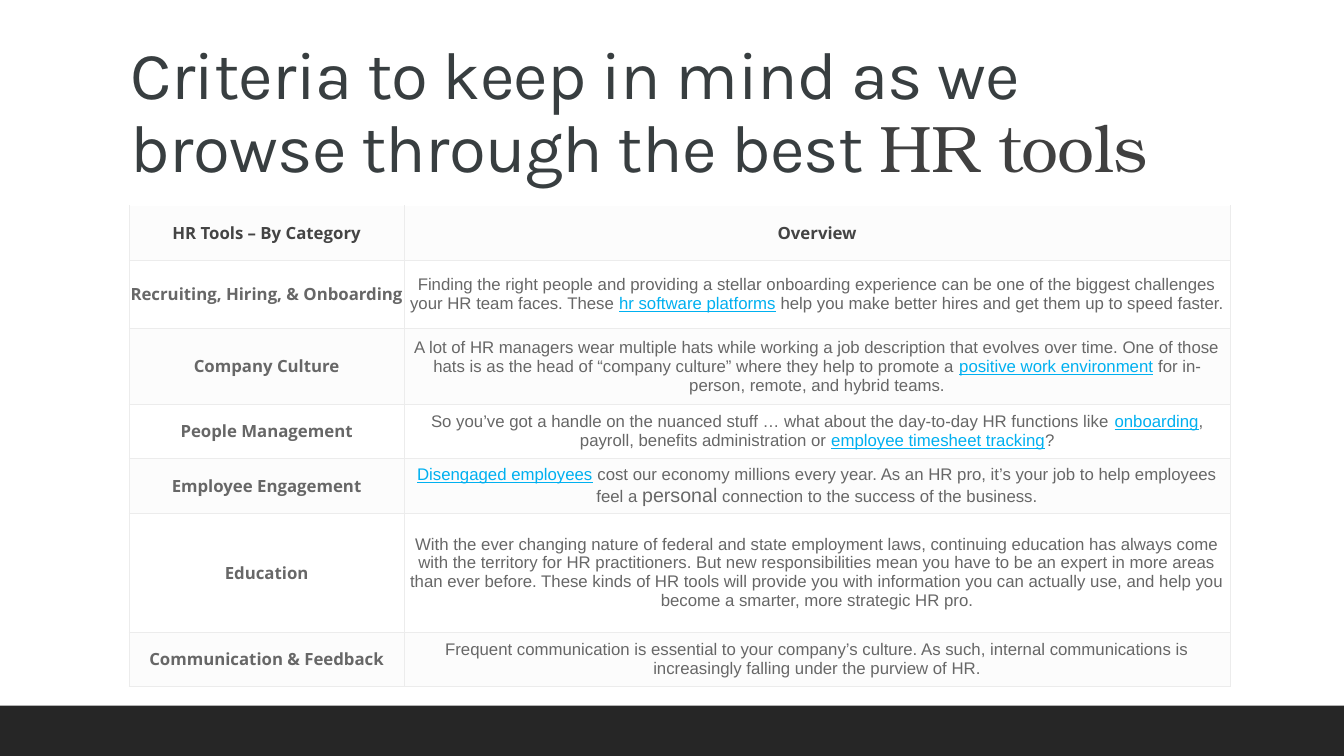
from lxml import etree
from pptx import Presentation
from pptx.dml.color import RGBColor
from pptx.enum.shapes import MSO_SHAPE
from pptx.enum.text import MSO_ANCHOR, PP_ALIGN
from pptx.oxml.ns import qn
from pptx.util import Inches, Pt

COLORS = {
    "title": "383E40", "accent": "404040", "footer": "262626",
    "header": "444444", "body": "676767", "link": "00B0F0",
    "border": "ECECEC", "shaded": "FCFCFC", "plain": "FFFFFF",
}
STYLES = {
    "title": ("Karla", 48, "title", False, False),
    "accent": ("TeX Gyre Bonum", 47, "accent", False, False),
    "header": ("Open Sans", 12, "header", True, False),
    "category": ("Open Sans", 12, "body", True, False),
    "body": ("Arial", 12, "body", False, False),
    "large": ("Arial", 14, "body", False, False),
    "link": ("Arial", 12, "link", False, True),
}
ROWS = [
    (0.54, [("HR Tools – By Category", "header")], [("Overview", "header")]),
    (0.68, [("Recruiting,\u00a0Hiring, & Onboarding", "category")], [
        ("Finding the right people and providing a stellar onboarding experience can be one of "
         "the biggest challenges your HR team faces. These\u00a0", "body"),
        ("hr software platforms", "link"),
        ("\u00a0help you make better hires and get them up to speed faster.", "body")]),
    (0.75, [("Company Culture", "category")], [
        ("A lot of HR managers wear multiple hats while working a job description that evolves "
         "over time. One of those hats is as the head of “company culture” where they help to "
         "promote a\u00a0", "body"),
        ("positive work environment", "link"),
        ("\u00a0for in-person, remote, and hybrid teams.", "body")]),
    (0.54, [("People Management", "category")], [
        ("So you’ve got a handle on the nuanced stuff … what about the day-to-day HR functions "
         "like\u00a0", "body"),
        ("onboarding", "link"),
        (", payroll, benefits administration or\u00a0", "body"),
        ("employee timesheet tracking", "link"),
        ("?", "body")]),
    (0.54, [("Employee Engagement", "category")], [
        ("Disengaged employees", "link"),
        ("\u00a0cost our economy millions every year. As an HR pro, it’s your job to help "
         "employees feel a ", "body"),
        ("personal", "large"),
        (" connection to the success of the business.", "body")]),
    (1.18, [("Education", "category")], [
        ("With the ever changing nature of federal and state employment laws, continuing "
         "education has always come with the territory for HR practitioners. But new "
         "responsibilities mean you have to be an expert in more areas than ever before. These "
         "kinds of HR tools will provide you with information you can actually use, and help "
         "you become a smarter, more strategic HR pro.", "body")]),
    (0.54, [("Communication & Feedback", "category")], [
        ("Frequent communication is essential to your company’s culture. As such, internal "
         "communications is increasingly falling under the purview of HR.", "body")]),
]


def add_runs(paragraph, runs):
    for text, style in runs:
        family, size, color, bold, underline = STYLES[style]
        run = paragraph.add_run()
        run.text = text
        run.font.name = family
        run.font.size = Pt(size)
        run.font.bold = bold
        run.font.underline = underline
        run.font.color.rgb = RGBColor.from_string(COLORS[color])


def add_borders(cell, sides):
    properties = cell._tc.get_or_add_tcPr()
    for position, side in enumerate(sides):
        border = etree.Element(qn("a:ln" + side), w=str(Pt(0.5)))
        fill = etree.SubElement(border, qn("a:solidFill"))
        etree.SubElement(fill, qn("a:srgbClr"), val=COLORS["border"])
        properties.insert(position, border)


deck = Presentation()
deck.slide_width = Inches(13.33)
deck.slide_height = Inches(7.5)
slide = deck.slides.add_slide(deck.slide_layouts[6])

footer = slide.shapes.add_shape(
    MSO_SHAPE.RECTANGLE, 0, Inches(7), deck.slide_width, Inches(0.5))
footer.shadow.inherit = False
footer.fill.solid()
footer.fill.fore_color.rgb = RGBColor.from_string(COLORS["footer"])
footer.line.fill.background()

title = slide.shapes.add_textbox(Inches(1.2), Inches(0.31), Inches(11), Inches(1.59)).text_frame
title.word_wrap = True
title.vertical_anchor = MSO_ANCHOR.BOTTOM
heading = title.paragraphs[0]
heading.line_spacing = 0.9
add_runs(heading, [
    ("Criteria to keep in mind as we browse through the\u00a0best ", "title"),
    ("HR tools", "accent")])
for run in heading.runs:
    run.font._element.set("spc", "-50")

criteria = slide.shapes.add_table(
    len(ROWS), 2, Inches(1.28), Inches(2.04), Inches(10.92), Inches(4.77)).table
criteria.columns[0].width = Inches(2.73)
criteria.columns[1].width = Inches(8.19)
for index, (height, category, overview) in enumerate(ROWS):
    criteria.rows[index].height = Inches(height)
    for column, runs in enumerate((category, overview)):
        cell = criteria.cell(index, column)
        cell.vertical_anchor = MSO_ANCHOR.MIDDLE
        cell.margin_left = cell.margin_right = Inches(0.01)
        cell.margin_top = cell.margin_bottom = Inches(0.01)
        cell.fill.solid()
        cell.fill.fore_color.rgb = RGBColor.from_string(
            COLORS["plain" if index % 2 else "shaded"])
        add_borders(cell, "LRTB" if index else "LRB")
        paragraph = cell.text_frame.paragraphs[0]
        paragraph.alignment = PP_ALIGN.CENTER
        add_runs(paragraph, runs)

deck.save("out.pptx")
